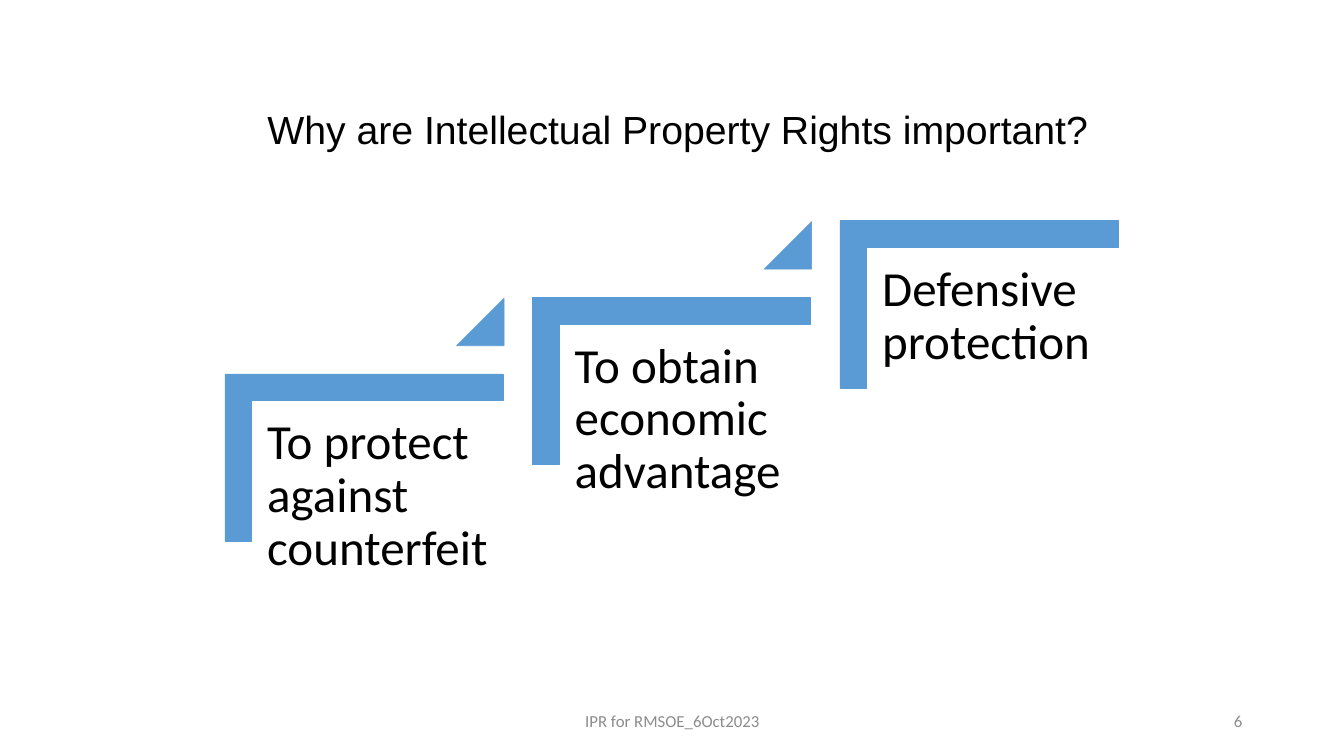
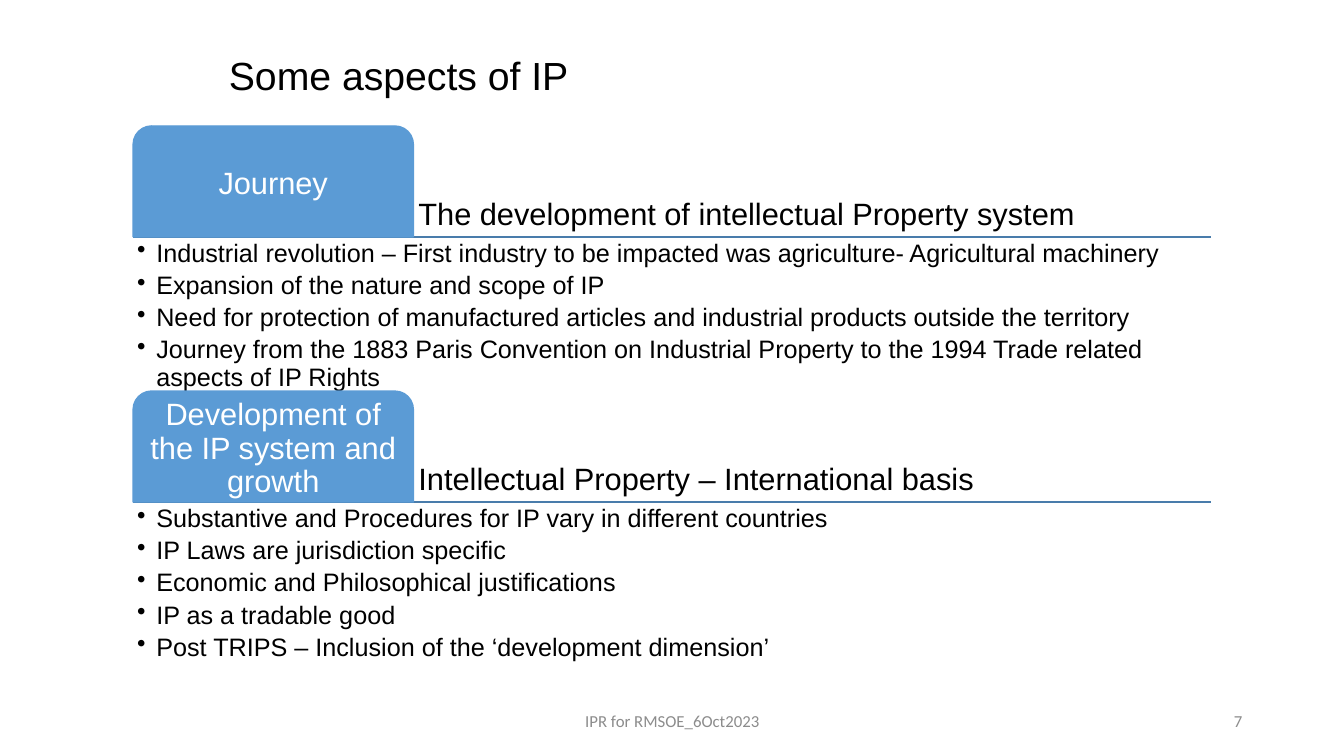
from dataclasses import dataclass

from lxml import etree
from pptx import Presentation
from pptx.dml.color import RGBColor
from pptx.enum.shapes import MSO_CONNECTOR, MSO_SHAPE
from pptx.enum.text import MSO_ANCHOR, PP_ALIGN
from pptx.oxml.ns import qn
from pptx.util import Emu, Pt

EMU_PER_PX = 9144  # 100 px to the inch
TITLE_ONLY = 5
LEFT, CENTER, RIGHT = PP_ALIGN.LEFT, PP_ALIGN.CENTER, PP_ALIGN.RIGHT
TOP, MIDDLE, BOTTOM = MSO_ANCHOR.TOP, MSO_ANCHOR.MIDDLE, MSO_ANCHOR.BOTTOM
CORNER, TRIANGLE = MSO_SHAPE.CORNER, MSO_SHAPE.ISOSCELES_TRIANGLE
TAB = MSO_SHAPE.ROUND_2_SAME_RECTANGLE


@dataclass(frozen=True)
class Theme:
    accent: RGBColor = RGBColor(0x5B, 0x9B, 0xD5)
    rule: RGBColor = RGBColor(0x49, 0x7C, 0xAB)
    black: RGBColor = RGBColor(0, 0, 0)
    white: RGBColor = RGBColor(255, 255, 255)
    gray: RGBColor = RGBColor(0x8C, 0x8C, 0x8C)
    title: int = 28
    step: int = 35
    heading: int = 22
    bullet: int = 18
    footer: int = 12


theme = Theme()
FOOTER = "IPR for RMSOE_6Oct2023"


def px(*lengths):
    return [Emu(length * EMU_PER_PX) for length in lengths]


def write(shape, lines, size, color=theme.black, name="Arial", align=LEFT,
          anchor=TOP, inset=5, spacing=0.9, after=0):
    """Fill the shape with one formatted paragraph for each line."""
    frame = shape.text_frame
    margin = px(inset)[0]
    frame_format = {
        "word_wrap": True, "vertical_anchor": anchor,
        "margin_left": margin, "margin_right": margin,
        "margin_top": margin, "margin_bottom": margin,
    }
    for attribute, value in frame_format.items():
        setattr(frame, attribute, value)
    frame.text = "\n".join(lines)
    paragraph_format = {"alignment": align, "line_spacing": spacing,
                        "space_before": Pt(0), "space_after": Pt(after)}
    for paragraph in frame.paragraphs:
        for attribute, value in paragraph_format.items():
            setattr(paragraph, attribute, value)
        font = paragraph.runs[0].font
        font.name, font.size = name, Pt(size)
        font.color.rgb = color


presentation = Presentation()
presentation.slide_width, presentation.slide_height = px(1333, 750)

# Titles and footers
titles = [
    ("Why are Intellectual Property Rights important?", (222, 83), CENTER, "6"),
    ("Some aspects of IP", (217, 30), LEFT, "7"),
]
for text, position, align, number in titles:
    slide = presentation.slides.add_slide(presentation.slide_layouts[TITLE_ONLY])
    title = slide.shapes.title
    title.left, title.top, title.width, title.height = px(*position, 900, 95)
    write(title, [text], theme.title, align=align, anchor=MIDDLE, inset=10)
    for label, left, width, side in [(FOOTER, 442, 450, CENTER),
                                     (number, 942, 300, RIGHT)]:
        box = slide.shapes.add_textbox(*px(left, 695, width, 40))
        write(box, [label], theme.footer, theme.gray, "Calibri", side, MIDDLE,
              inset=10, spacing=1.0)

steps_slide, aspects_slide = presentation.slides

# Rising steps
steps = ["To protect against counterfeit", "To obtain economic advantage",
         "Defensive protection"]
for index, text in enumerate(steps):
    left, top = 278 + 305 * index, 316 - 76 * index
    parts = [(CORNER, (left, top, 166, 276), 90, [0.16, 0.16])]
    if index < len(steps) - 1:
        parts.append((TRIANGLE, (left + 175, top - 20, 47, 47), 0, [1.0]))
    for kind, bounds, rotation, adjustments in parts:
        shape = steps_slide.shapes.add_shape(kind, *px(*bounds))
        shape.rotation = rotation
        for position, value in enumerate(adjustments):
            shape.adjustments[position] = value
        shape.shadow.inherit = False
        shape.fill.solid()
        shape.fill.fore_color.rgb = theme.accent
        shape.line.color.rgb = theme.accent
        shape.line.width = Pt(0.5)
    box = steps_slide.shapes.add_textbox(*px(left - 28, top + 83, 250, 219))
    write(box, [text], theme.step, name="Calibri", inset=15)

# Tabbed sections
sections = [
    (125, 147, "Journey", "The development of intellectual Property system", [
        "Industrial revolution – First industry to be impacted was agriculture- "
        "Agricultural machinery",
        "Expansion of the nature and scope of IP",
        "Need for protection of manufactured articles and industrial products "
        "outside the territory",
        "Journey from the 1883 Paris Convention on Industrial Property to the "
        "1994 Trade related aspects of IP Rights",
    ]),
    (388, 220, "Development of the IP system and growth",
     "Intellectual Property – International basis", [
         "Substantive and Procedures for IP vary in different countries",
         "IP Laws are jurisdiction specific",
         "Economic and Philosophical justifications",
         "IP as a tradable good",
         "Post TRIPS – Inclusion of the ‘development dimension’",
     ]),
]
SECTION_LEFT, SECTION_WIDTH, TAB_WIDTH, TAB_HEIGHT = 132, 1069, 278, 110
shapes = aspects_slide.shapes
for top, body_height, tab_text, heading_text, bullets in sections:
    base = top + TAB_HEIGHT
    rule = shapes.add_connector(
        MSO_CONNECTOR.STRAIGHT,
        *px(SECTION_LEFT, base, SECTION_LEFT + SECTION_WIDTH, base))
    rule.line.color.rgb = theme.rule
    rule.line.width = Pt(1)
    etree.SubElement(rule._element.spPr, qn("a:effectLst"))

    tab = shapes.add_shape(TAB, *px(SECTION_LEFT, top, TAB_WIDTH, TAB_HEIGHT))
    tab.shadow.inherit = False
    tab.fill.solid()
    tab.fill.fore_color.rgb = theme.accent
    tab.line.color.rgb = theme.accent
    tab.line.width = Pt(1)
    write(tab, [tab_text], theme.heading, theme.white, align=CENTER, anchor=MIDDLE)

    heading = shapes.add_textbox(*px(SECTION_LEFT + TAB_WIDTH, top,
                                     SECTION_WIDTH - TAB_WIDTH, TAB_HEIGHT))
    write(heading, [heading_text], theme.heading, anchor=BOTTOM)

    body = shapes.add_textbox(*px(SECTION_LEFT, base, SECTION_WIDTH, body_height))
    write(body, bullets, theme.bullet, inset=4, after=3.5)
    indent = px(19)[0]
    for paragraph in body.text_frame.paragraphs:
        properties = paragraph._p.get_or_add_pPr()
        properties.set("marL", str(indent))
        properties.set("indent", str(-indent))
        etree.SubElement(properties, qn("a:buChar"), char="•")

presentation.save("out.pptx")
